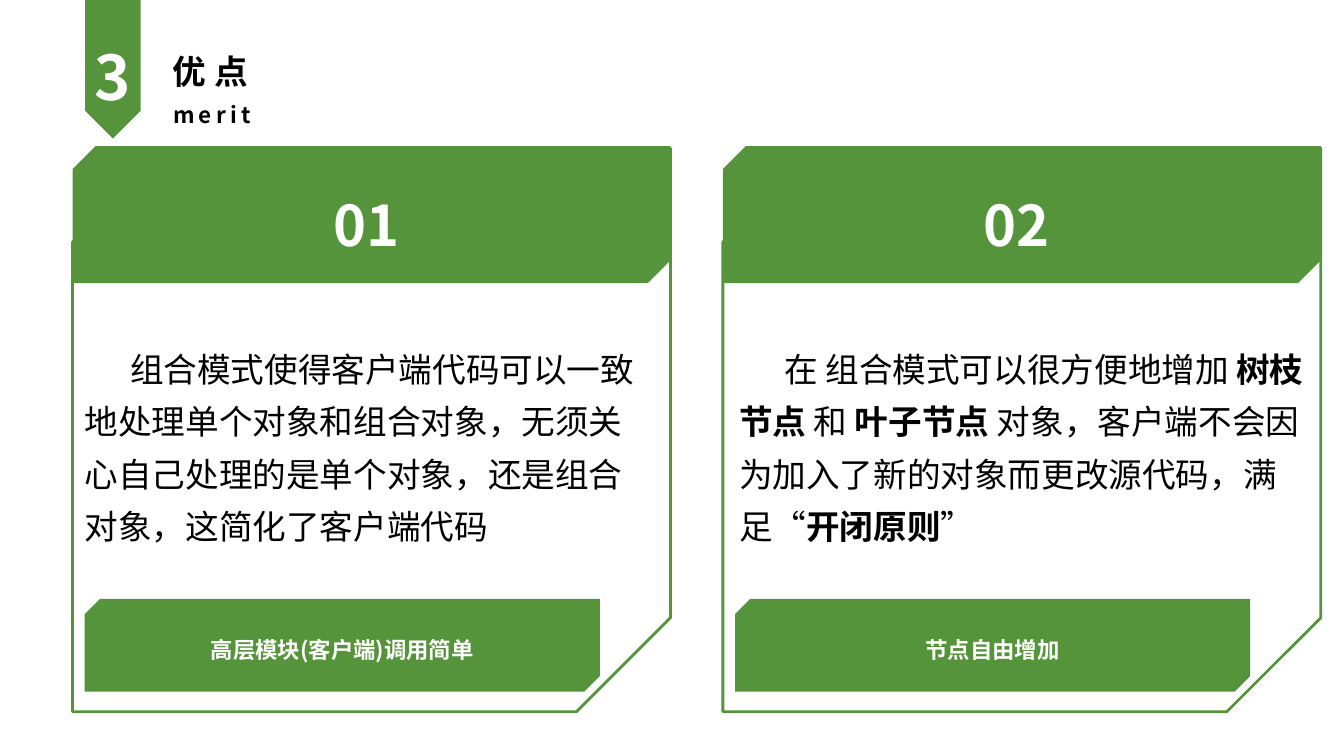
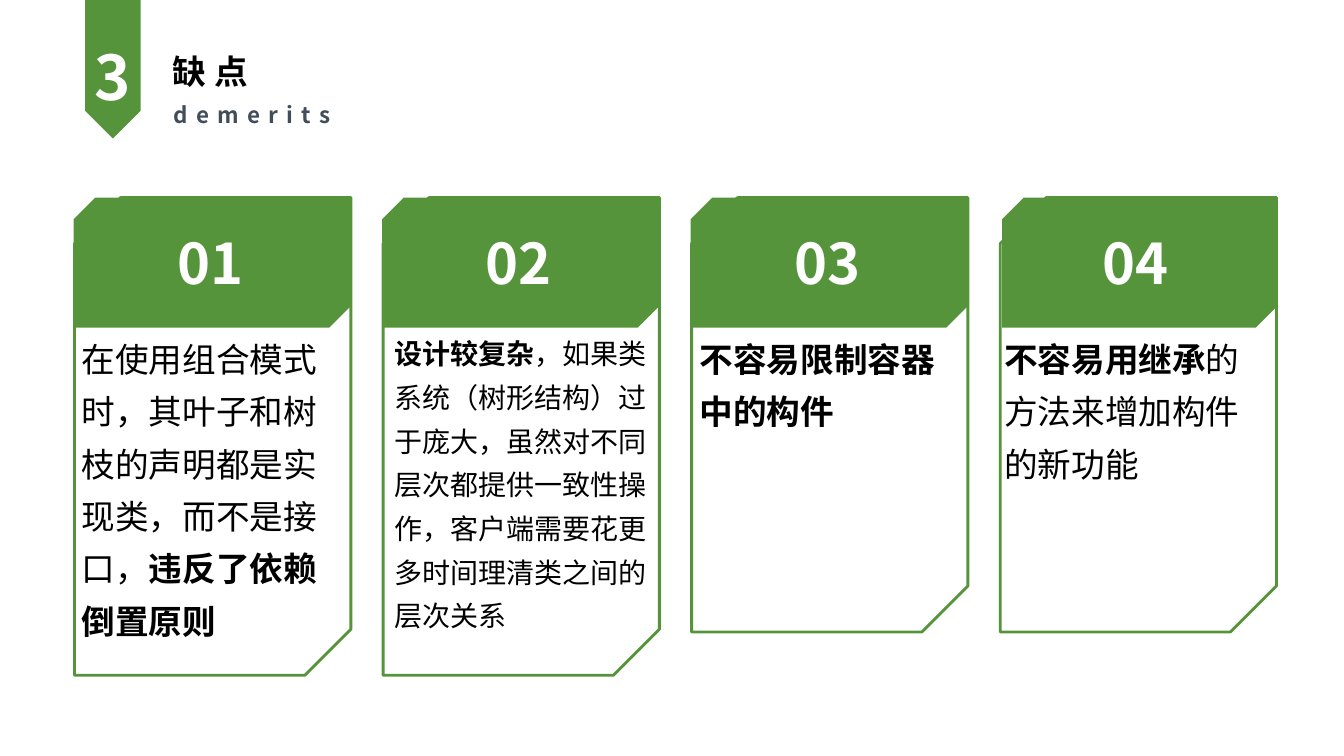
from dataclasses import dataclass

from lxml.etree import SubElement
from pptx import Presentation
from pptx.dml.color import RGBColor
from pptx.enum.shapes import MSO_SHAPE as SHAPE
from pptx.enum.text import MSO_ANCHOR as ANCHOR, MSO_AUTO_SIZE as AUTO, PP_ALIGN as ALIGN
from pptx.oxml.ns import qn
from pptx.util import Emu, Pt

PX = 9144  # 100 px to the inch


@dataclass(frozen=True)
class Theme:
    font: str = "Noto Sans CJK SC"
    green: str = "55943A"
    white: str = "FFFFFF"
    black: str = "000000"
    slate: str = "414D59"
    section: int = 44
    number: int = 40
    title: int = 24
    label: int = 16
    line: int = 2
    leading: float = 1.3
    snip: float = 0.16667


T = Theme()
SECTION = "3"

# Bold passages stand between ** marks. dx values count from the card's left edge.
SLIDES = [
    dict(
        layout="Two Content", title="优点", subtitle="merit",
        subtitle_color=T.black, subtitle_spacing=3,
        left=72, pitch=645, top=147, width=593,
        band_top=145, band_height=136, number_dx=215, number_top=164,
        body_top=334, indent=45,
        cards=[
            dict(height=559, band_dx=0, band_width=593,
                 body_dx=12, body_width=561, size=24,
                 body="组合模式使得客户端代码可以一致地处理单个对象和组合对象，"
                      "无须关心自己处理的是单个对象，还是组合对象，这简化了客户端代码",
                 label="高层模块(客户端)调用简单"),
            dict(height=559, band_dx=0, band_width=593,
                 body_dx=16, body_width=561, size=24,
                 body="在 组合模式可以很方便地增加 **树枝节点** 和 **叶子节点** 对象，"
                      "客户端不会因为加入了新的对象而更改源代码，满足“**开闭原则**”",
                 label="节点自由增加"),
        ],
    ),
    dict(
        layout="Comparison", title="缺点", subtitle="demerits",
        subtitle_color=T.slate, subtitle_spacing=6,
        left=74, pitch=306, top=196, width=274,
        band_top=196, band_height=129, number_dx=58, number_top=202,
        body_top=324, indent=0,
        cards=[
            dict(height=474, band_dx=-1, band_width=275,
                 body_dx=7, body_width=261, size=24,
                 body="在使用组合模式时，其叶子和树枝的声明都是实现类，而不是接口，"
                      "**违反了依赖倒置原则**"),
            dict(height=474, band_dx=-1, band_width=275,
                 body_dx=11, body_width=253, size=20,
                 body="**设计较复杂**，如果类系统（树形结构）过于庞大，"
                      "虽然对不同层次都提供一致性操作，客户端需要花更多时间理清类之间的层次关系"),
            dict(height=431, band_dx=-1, band_width=275,
                 body_dx=8, body_width=254, size=24,
                 body="**不容易限制容器中的构件**"),
            dict(height=431, band_dx=2, band_width=273,
                 body_dx=4, body_width=262, size=24,
                 body="**不容易用继承**的方法来增加构件的新功能"),
        ],
    ),
]


def emu(*lengths):
    return [Emu(n * PX) for n in lengths]


def place(sp, *box):
    sp.left, sp.top, sp.width, sp.height = emu(*box)


def write(sp, text, size, color, bold=True, align=ALIGN.LEFT, leading=1.0,
          spacing=0, anchor=ANCHOR.TOP, inset=None):
    """Fill one paragraph; passages between ** marks switch the boldness."""
    tf = sp.text_frame
    tf.word_wrap = True
    tf.auto_size = AUTO.NONE
    tf.vertical_anchor = anchor
    if inset is not None:
        tf.margin_left = tf.margin_top = tf.margin_right = tf.margin_bottom = inset
    p = tf.paragraphs[0]
    p.alignment, p.line_spacing, p.space_before = align, leading, Pt(0)
    for i, part in enumerate(text.split("**")):
        if not part:
            continue
        r = p.add_run()
        r.text = part
        f = r.font
        f.name, f.size, f.bold = T.font, Pt(size), bold != bool(i % 2)
        f.color.rgb = RGBColor.from_string(color)
        rpr = r._r.get_or_add_rPr()
        SubElement(rpr, qn("a:ea")).set("typeface", T.font)
        if spacing:
            rpr.set("spc", str(spacing * 100))
    return p


def unbullet(p, indent):
    ppr = p._p.get_or_add_pPr()
    ppr.set("marL", "0")
    ppr.set("indent", str(indent * PX))
    SubElement(ppr, qn("a:buNone"))


def add_text(s, box, text, size, color, **style):
    write(s.shapes.add_textbox(*emu(*box)), text, size, color, **style)


def add_panel(s, kind, *box, filled=True):
    sp = s.shapes.add_shape(kind, *emu(*box))
    sp.shadow.inherit = False
    green = RGBColor.from_string(T.green)
    if filled:
        sp.fill.solid()
        sp.fill.fore_color.rgb = green
        sp.line.fill.background()
    else:
        sp.fill.background()
        sp.line.color.rgb = green
        sp.line.width = Pt(T.line)
    return sp


def add_snipped(s, *box, filled=True):
    """Rectangle with its top left and bottom right corners cut."""
    sp = add_panel(s, SHAPE.SNIP_2_DIAG_RECTANGLE, *box, filled=filled)
    sp.adjustments[0], sp.adjustments[1] = T.snip, 0
    return sp


def add_header(s, data):
    pennant = add_panel(s, SHAPE.PENTAGON, 42, 40, 140, 55)
    pennant.rotation = 90
    add_text(s, (84, 34, 54, 84), SECTION, T.section, T.white)
    title = s.shapes.title
    place(title, 161, 45, 468, 50)
    write(title, data["title"], T.title, T.black, spacing=6)
    add_text(s, (162, 92, 482, 59), data["subtitle"], T.label, data["subtitle_color"],
             leading=1.14, spacing=data["subtitle_spacing"])


def add_card(s, data, i, card):
    x = data["left"] + i * data["pitch"]
    add_snipped(s, x, data["top"], data["width"], card["height"], filled=False)
    add_snipped(s, x + card["band_dx"], data["band_top"],
                card["band_width"], data["band_height"])
    add_text(s, (x + data["number_dx"], data["number_top"], 153, 98), f"{i + 1:02}",
             T.number, T.white, align=ALIGN.CENTER, leading=T.leading)

    body = s.placeholders[i + 1]
    bottom = data["top"] + card["height"]
    if "label" in card:
        label = add_snipped(s, x + 12, bottom - 112, 511, 92)
        write(label, card["label"], T.label, T.white, align=ALIGN.CENTER,
              leading=T.leading, anchor=ANCHOR.MIDDLE)
        bottom -= 112
    place(body, x + card["body_dx"], data["body_top"],
          card["body_width"], bottom - data["body_top"])
    p = write(body, card["body"], card["size"], T.black, bold=False,
              leading=T.leading, inset=0)
    unbullet(p, data["indent"])


def main():
    prs = Presentation()
    prs.slide_width, prs.slide_height = emu(1333, 750)
    for data in SLIDES:
        s = prs.slides.add_slide(prs.slide_layouts.get_by_name(data["layout"]))
        add_header(s, data)
        for i, card in enumerate(data["cards"]):
            add_card(s, data, i, card)
    prs.save("out.pptx")


if __name__ == "__main__":
    main()
